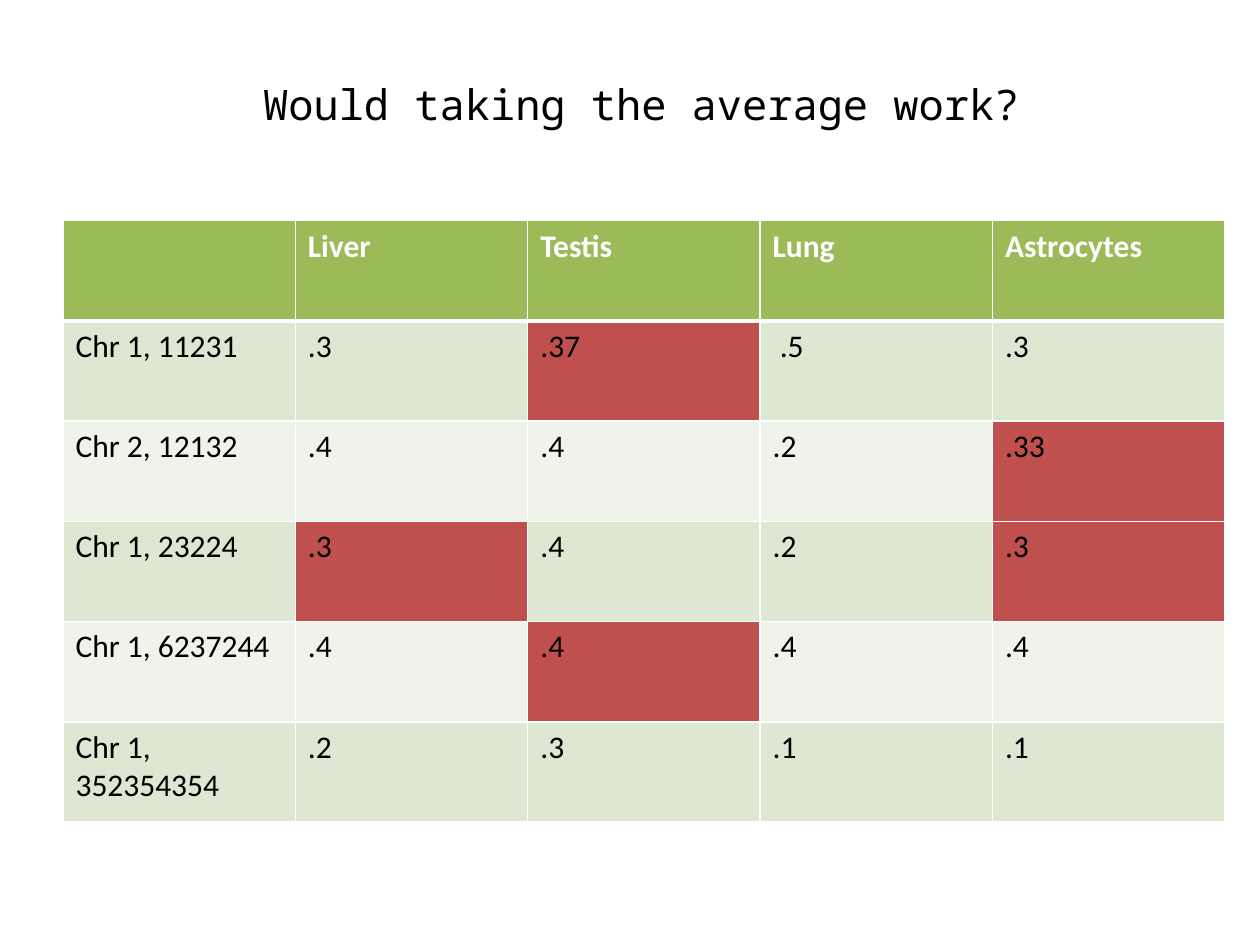
from lxml import etree
from pptx import Presentation
from pptx.dml.color import RGBColor
from pptx.enum import text
from pptx.oxml import ns
from pptx.util import Cm, Pt

COLORS = {
    "header": "9BBB59",
    "odd_row": "DEE7D1",
    "even_row": "EFF3EA",
    "highlight": "C0504D",
    "light": "FFFFFF",
    "dark": "000000",
}
ROWS = [
    ["", "Liver", "Testis", "Lung", "Astrocytes"],
    ["Chr 1, 11231", ".3", ".37", " .5", ".3"],
    ["Chr 2, 12132", ".4", ".4", ".2", ".33"],
    ["Chr 1, 23224", ".3", ".4", ".2", ".3"],
    ["Chr 1, 6237244", ".4", ".4", ".4", ".4"],
    ["Chr 1, 352354354", ".2", ".3", ".1", ".1"],
]
HIGHLIGHTED = {(1, 2), (2, 4), (3, 1), (3, 4), (4, 2)}


def style_font(font, name, size, color, bold=False):
    font.name, font.size, font.bold = name, Pt(size), bold
    font.color.rgb = RGBColor.from_string(COLORS[color])


def set_borders(cell, **widths):
    """Draw white cell borders; widths are points by side: L, R, T, B."""
    properties = cell._tc.get_or_add_tcPr()
    for side, width in widths.items():
        line = etree.SubElement(properties, ns.qn(f"a:ln{side}"), w=str(Pt(width)))
        fill = etree.SubElement(line, ns.qn("a:solidFill"))
        etree.SubElement(fill, ns.qn("a:srgbClr"), val=COLORS["light"])


def cell_color(row, column):
    if row == 0:
        return "header"
    if (row, column) in HIGHLIGHTED:
        return "highlight"
    return "odd_row" if row % 2 else "even_row"


def place_title(slide, left, top, width, height):
    title = slide.shapes.title
    title.left, title.top, title.width, title.height = left, top, width, height
    frame = title.text_frame
    frame.text = "Would taking the average work?"
    frame.word_wrap = False
    frame.auto_size = text.MSO_AUTO_SIZE.SHAPE_TO_FIT_TEXT
    frame.vertical_anchor = text.MSO_ANCHOR.TOP
    paragraph = frame.paragraphs[0]
    paragraph.alignment = text.PP_ALIGN.CENTER
    style_font(paragraph.runs[0].font, "Noto Sans Mono", 24, "dark")


def place_table(slide, left, top, width, height):
    table = slide.shapes.add_table(
        len(ROWS), len(ROWS[0]), left, top, width, height
    ).table
    for row, values in enumerate(ROWS):
        for column, value in enumerate(values):
            cell = table.cell(row, column)
            set_borders(cell, L=1, R=1, T=3 if row == 1 else 1, B=3 if row == 0 else 1)
            cell.fill.solid()
            cell.fill.fore_color.rgb = RGBColor.from_string(COLORS[cell_color(row, column)])
            cell.text_frame.text = value
            for run in cell.text_frame.paragraphs[0].runs:
                style_font(run.font, "Calibri", 18, "dark" if row else "light", row == 0)


def main():
    presentation = Presentation()
    presentation.slide_width, presentation.slide_height = Cm(25.4), Cm(19.05)
    slide = presentation.slides.add_slide(presentation.slide_layouts.get_by_name("Title Only"))
    place_title(slide, Cm(4.95), Cm(1.45), Cm(15.95), Cm(1.27))
    place_table(slide, Cm(1.27), Cm(4.45), Cm(23.42), Cm(12.12))
    presentation.save("out.pptx")


if __name__ == "__main__":
    main()
